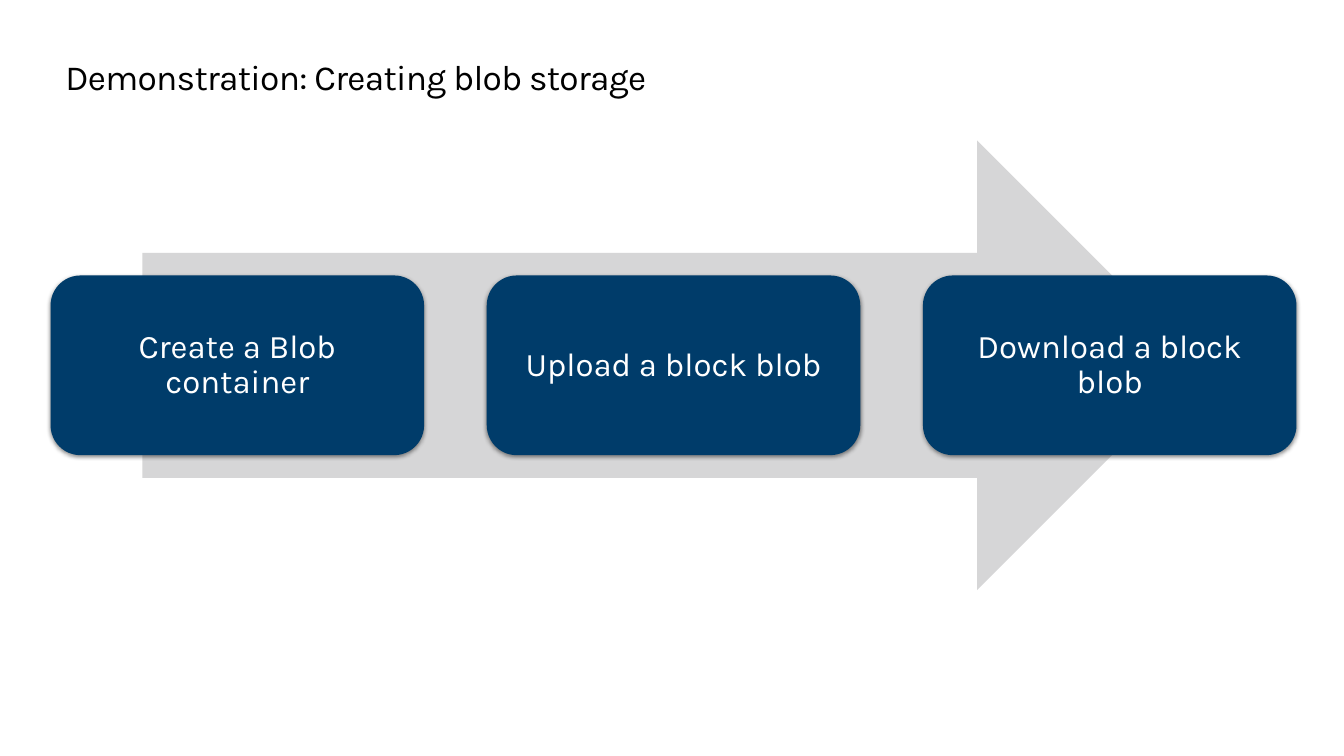
"""Build a slide with three blob storage steps on a process arrow."""
from dataclasses import dataclass

from lxml.etree import SubElement
from pptx import Presentation
from pptx.dml.color import RGBColor
from pptx.enum.shapes import MSO_SHAPE as Preset
from pptx.enum.text import MSO_ANCHOR as Anchor, PP_ALIGN as Align
from pptx.oxml.ns import qn
from pptx.shapes.autoshape import Shape
from pptx.slide import Slide
from pptx.text.text import TextFrame
from pptx.util import Cm, Pt

FONT = "Karla"
STEPS = ("Create a Blob container", "Upload a block blob", "Download a block blob")
STEP_LEFT, STEP_PITCH = 1.3, 11.21


@dataclass(frozen=True)
class Block:
    preset: Preset
    left: float
    top: float
    width: float
    height: float
    fill: str


def color(value: str) -> RGBColor:
    return RGBColor.from_string(value)


def add_block(page: Slide, block: Block) -> Shape:
    lengths = (block.left, block.top, block.width, block.height)
    shape = page.shapes.add_shape(block.preset, *map(Cm, lengths))
    shape.shadow.inherit = False
    shape.fill.solid()
    shape.fill.fore_color.rgb = color(block.fill)
    shape.line.fill.background()
    return shape


def add_soft_shadow(shape: Shape) -> None:
    effects = shape._element.spPr.find(qn("a:effectLst"))
    shadow = SubElement(effects, qn("a:outerShdw"), blurRad=str(Pt(3.5)),
                        dist=str(Pt(1.1)), dir="5400000", algn="ctr", rotWithShape="0")
    tint = SubElement(shadow, qn("a:srgbClr"), val="000000")
    SubElement(tint, qn("a:alpha"), val="45000")


def write_text(frame: TextFrame, text: str, size: float, ink: str, align: Align) -> None:
    frame.word_wrap = True
    para = frame.paragraphs[0]
    para.text = text
    para.alignment = align
    para.line_spacing = 0.9
    para.font.name = FONT
    para.font.size = Pt(size)
    para.font.color.rgb = color(ink)


def add_title(page: Slide, text: str) -> None:
    box = page.shapes.add_textbox(Cm(1.68), Cm(1.3), Cm(31.22), Cm(1.22))
    frame = box.text_frame
    frame.margin_left = 0
    frame.margin_right = Cm(0.41)
    frame.margin_top = frame.margin_bottom = Cm(0.25)
    write_text(frame, text, 25.7, "000000", Align.LEFT)
    span = frame.paragraphs[0].runs[0]
    span.font._element.set("spc", "-50")


def add_step(page: Slide, index: int, text: str) -> None:
    left = STEP_LEFT + index * STEP_PITCH
    card = add_block(page, Block(Preset.ROUNDED_RECTANGLE, left, 7.08, 9.6, 4.62, "003C6A"))
    add_soft_shadow(card)
    frame = card.text_frame
    frame.vertical_anchor = Anchor.MIDDLE
    frame.margin_left = frame.margin_right = Cm(0.25)
    frame.margin_top = frame.margin_bottom = Cm(0.25)
    write_text(frame, text, 24, "FFFFFF", Align.CENTER)


def main() -> None:
    deck = Presentation()
    deck.slide_width, deck.slide_height = Cm(34.54), Cm(19.43)
    page = deck.slides.add_slide(deck.slide_layouts[6])
    add_title(page, "Demonstration: Creating blob storage")
    add_block(page, Block(Preset.RIGHT_ARROW, 3.66, 3.61, 27.23, 11.56, "D6D6D7"))
    for index, text in enumerate(STEPS):
        add_step(page, index, text)
    deck.save("out.pptx")


if __name__ == "__main__":
    main()
